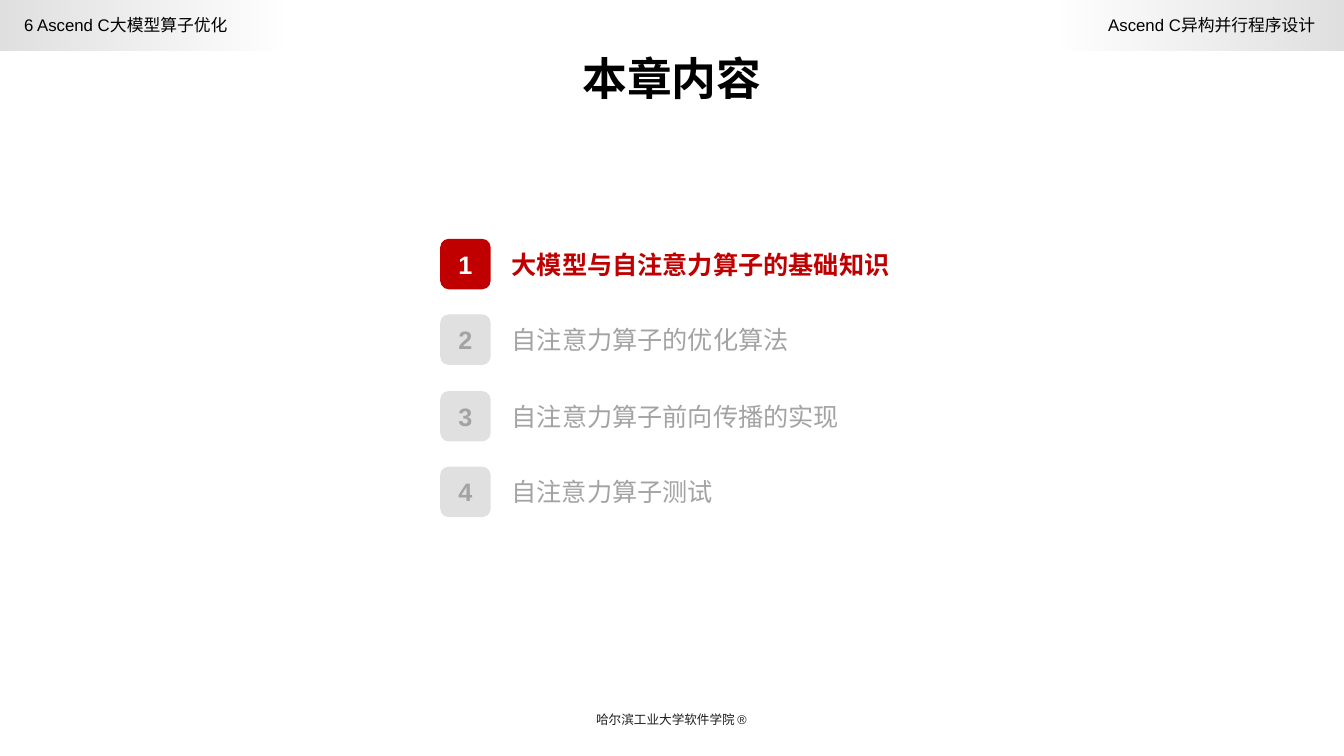
import pptx
import pptx.dml.color
import pptx.enum.shapes
import pptx.enum.text
import pptx.oxml
import pptx.oxml.ns
import pptx.util

PX = 9144  # 100 px to the inch
WIDTH, HEIGHT = 1334, 750
FONT = "Arial"

RGB = pptx.dml.color.RGBColor
WHITE = RGB(0xFF, 0xFF, 0xFF)
BLACK = RGB(0, 0, 0)
INK = RGB(0x1D, 0x1D, 0x1A)
RED = RGB(0xC0, 0, 0)
LIGHT_GRAY = RGB(0xE0, 0xE0, 0xE0)
MID_GRAY = RGB(0xA3, 0xA3, 0xA3)

ALIGN = pptx.enum.text.PP_ALIGN
ANCHOR = pptx.enum.text.MSO_ANCHOR
SHAPE = pptx.enum.shapes.MSO_SHAPE

CHAPTER = "6 Ascend C大模型算子优化"
COURSE = "Ascend C异构并行程序设计"
TITLE = "本章内容"
SECTIONS = [
    "大模型与自注意力算子的基础知识",
    "自注意力算子的优化算法",
    "自注意力算子前向传播的实现",
    "自注意力算子测试",
]
ACTIVE_SECTION = 1
FOOTER = "哈尔滨工业大学软件学院 ®"


def emu(*lengths):
    return [length * PX for length in lengths]


def set_text(shape, text, size, color, bold=False, align=ALIGN.LEFT,
             anchor=ANCHOR.TOP, wrap=True):
    frame = shape.text_frame
    frame.word_wrap = wrap
    frame.auto_size = pptx.enum.text.MSO_AUTO_SIZE.NONE
    frame.vertical_anchor = anchor
    frame.text = text
    paragraph = frame.paragraphs[0]
    paragraph.alignment = align
    paragraph.font.name = FONT
    paragraph.font.size = pptx.util.Pt(size)
    paragraph.font.bold = bold
    paragraph.font.color.rgb = color


def add_text(slide, box, text, size, color, **options):
    shape = slide.shapes.add_textbox(*emu(*box))
    set_text(shape, text, size, color, **options)
    return shape


def add_plain_shape(slide, kind, box):
    shape = slide.shapes.add_shape(kind, *emu(*box))
    shape.shadow.inherit = False
    shape.line.fill.background()
    return shape


def add_header_band(slide, box, text, text_left, text_width, clear_stop):
    """Gray band that fades out at the given gradient stop, with its label."""
    left, top, width, height = box
    band = add_plain_shape(slide, SHAPE.RECTANGLE, box)
    band.fill.gradient()
    band.fill.gradient_angle = 0
    for stop in band.fill.gradient_stops:
        stop.color.rgb = LIGHT_GRAY
    colors = list(band._element.spPr.iter(pptx.oxml.ns.qn("a:srgbClr")))
    colors[clear_stop].append(pptx.oxml.parse_xml(
        f'<a:alpha {pptx.oxml.ns.nsdecls("a")} val="0"/>'))

    label = add_text(slide, (left + text_left, top + 7, text_width, 36),
                     text, 12, BLACK)
    frame = label.text_frame
    frame.margin_left = frame.margin_right = 8 * PX
    frame.margin_top = frame.margin_bottom = 8 * PX


def place_title(slide, box):
    title = slide.shapes.title
    title.left, title.top, title.width, title.height = emu(*box)
    set_text(title, TITLE, 32, BLACK, bold=True, align=ALIGN.CENTER, wrap=False)


def add_agenda(slide, box):
    """Numbered sections, evenly spaced over the height of the box."""
    left, top, width, height = box
    badge_size = 50
    pitch = (height - badge_size) / (len(SECTIONS) - 1)
    for number, section in enumerate(SECTIONS, 1):
        active = number == ACTIVE_SECTION
        row_top = top + round((number - 1) * pitch)
        badge = add_plain_shape(slide, SHAPE.ROUNDED_RECTANGLE,
                                (left, row_top, badge_size, badge_size))
        badge.fill.solid()
        badge.fill.fore_color.rgb = RED if active else LIGHT_GRAY
        set_text(badge, str(number), 18, WHITE if active else MID_GRAY,
                 bold=True, align=ALIGN.CENTER, anchor=ANCHOR.MIDDLE)
        # One 18 pt character is 25 px wide
        text_width = min(25 * len(section) + 24, width - 61)
        add_text(slide, (left + 61, row_top + 5, text_width, 40), section, 18,
                 RED if active else MID_GRAY, bold=active)


def build_agenda_slide(presentation):
    slide = presentation.slides.add_slide(presentation.slide_layouts[5])
    slide.background.fill.solid()
    slide.background.fill.fore_color.rgb = WHITE

    # Footer and header bands
    add_text(slide, (333, 701, 667, 25), FOOTER, 9, INK, align=ALIGN.CENTER)
    band_width = 283
    add_header_band(slide, (0, 0, band_width, 50), CHAPTER, 16, 240, 1)
    add_header_band(slide, (WIDTH - band_width, 0, band_width, 50),
                    COURSE, 41, 225, 0)

    # Title and section list
    place_title(slide, (567, 45, 200, 64))
    add_agenda(slide, (437, 237, 460, 276))


def main():
    presentation = pptx.Presentation()
    presentation.slide_width, presentation.slide_height = emu(WIDTH, HEIGHT)
    build_agenda_slide(presentation)
    presentation.save("out.pptx")


if __name__ == "__main__":
    main()
